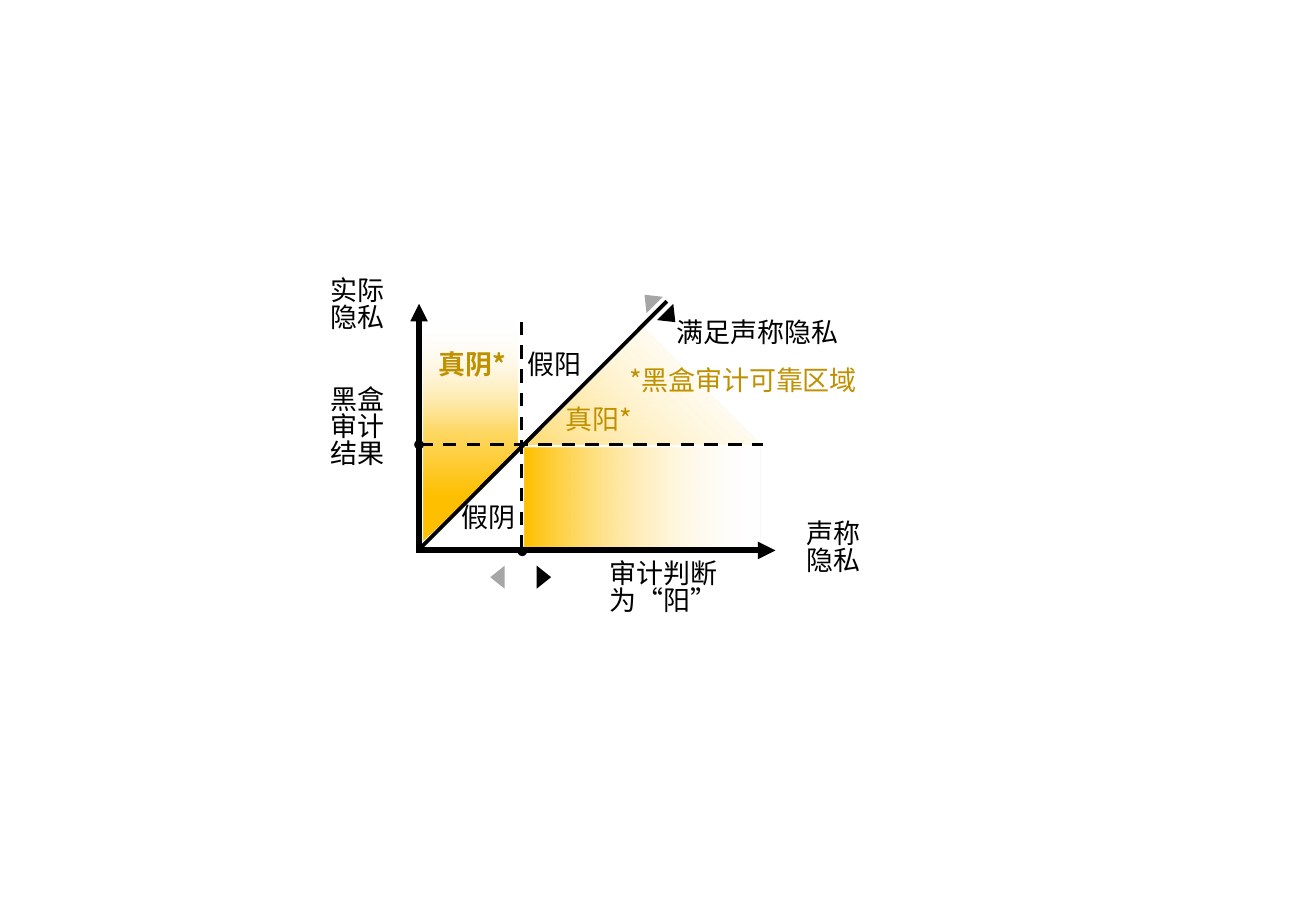
from lxml.etree import SubElement
from pptx import Presentation
from pptx.dml.color import RGBColor
from pptx.enum.dml import MSO_LINE
from pptx.enum.shapes import MSO_CONNECTOR, MSO_SHAPE
from pptx.enum.text import MSO_ANCHOR, PP_ALIGN
from pptx.oxml import parse_xml
from pptx.oxml.ns import nsdecls, qn
from pptx.util import Cm, Pt

BLACK = RGBColor(0x00, 0x00, 0x00)
WHITE = RGBColor(0xFF, 0xFF, 0xFF)
GREY = RGBColor(0xA6, 0xA6, 0xA6)
GOLD = RGBColor(0xFF, 0xC0, 0x00)
LIGHT_GOLD = RGBColor(0xFF, 0xD9, 0x66)
DARK_GOLD = RGBColor(0xBF, 0x90, 0x00)
FONT = "Noto Sans CJK SC"

# Gradient stops: position in percent, colour, opacity in percent
FADE = [(0, WHITE, 80), (0, WHITE, 0), (100, GOLD, 100)]
LONG_FADE = [(0, WHITE, 100), (0, WHITE, 0), (50, LIGHT_GOLD, 100), (80, GOLD, 100)]


def add_text(slide, text, left, top, width, height=0.94, color=BLACK,
             bold=False, align=PP_ALIGN.CENTER):
    frame = slide.shapes.add_textbox(Cm(left), Cm(top), Cm(width), Cm(height)).text_frame
    frame.word_wrap = True
    frame.vertical_anchor = MSO_ANCHOR.TOP
    frame.margin_top = Cm(0.17)
    frame.text = text
    for paragraph in frame.paragraphs:
        paragraph.alignment = align
        paragraph.line_spacing = 0.83
        for run in paragraph.runs:
            run.font.name = FONT
            run.font.size = Pt(16)
            run.font.bold = bold
            run.font.color.rgb = color
            SubElement(run.font._element, qn("a:ea")).set("typeface", FONT)


def fill_gradient(region, stops, angle):
    region.shadow.inherit = False
    region.line.fill.background()
    stop_xml = "".join(
        f'<a:gs pos="{pos * 1000}"><a:srgbClr val="{color}">'
        f'<a:alpha val="{opacity * 1000}"/></a:srgbClr></a:gs>'
        for pos, color, opacity in stops)
    region._element.spPr.insert(2, parse_xml(
        f'<a:gradFill {nsdecls("a")} rotWithShape="1"><a:gsLst>{stop_xml}</a:gsLst>'
        f'<a:lin ang="{angle * 60000}" scaled="0"/></a:gradFill>'))


def add_region(slide, kind, left, top, width, height, angle, rotation=0):
    region = slide.shapes.add_shape(kind, Cm(left), Cm(top), Cm(width), Cm(height))
    region.rotation = rotation
    fill_gradient(region, FADE, angle)


def add_outlined_region(slide, corners, angle):
    points = [(Cm(x), Cm(y)) for x, y in corners]
    builder = slide.shapes.build_freeform(*points[0])
    builder.add_line_segments(points[1:], close=True)
    fill_gradient(builder.convert_to_shape(), LONG_FADE, angle)


def add_line(slide, start, end, weight, dashed=False, arrow=False):
    line = slide.shapes.add_connector(
        MSO_CONNECTOR.STRAIGHT, *(Cm(value) for value in start + end))
    line.line.color.rgb = BLACK
    line.line.width = Pt(weight)
    if dashed:
        line.line.dash_style = MSO_LINE.DASH
    if arrow:
        SubElement(line.line._get_or_add_ln(), qn("a:tailEnd")).set("type", "triangle")
    SubElement(line._element.spPr, qn("a:effectLst"))


def add_marker(slide, kind, center, width, height, color=BLACK, rotation=0):
    x, y = center
    marker = slide.shapes.add_shape(
        kind, Cm(x - width / 2), Cm(y - height / 2), Cm(width), Cm(height))
    marker.rotation = rotation
    marker.shadow.inherit = False
    marker.fill.solid()
    marker.fill.fore_color.rgb = color
    marker.line.fill.background()


def main():
    presentation = Presentation()
    presentation.slide_width, presentation.slide_height = Cm(27.51), Cm(19.05)
    slide = presentation.slides.add_slide(presentation.slide_layouts[6])

    # Shaded regions
    add_region(slide, MSO_SHAPE.RECTANGLE, 10.97, 9.37, 4.93, 2.06, 180)
    add_region(slide, MSO_SHAPE.RIGHT_TRIANGLE, 11.73, 7.57, 3.45, 3.45, 0, rotation=135)
    add_outlined_region(
        slide, [(8.86, 6.71), (8.86, 11.3), (10.82, 9.45), (10.82, 6.71)], 90)

    # Diagonal, thresholds and axes
    add_line(slide, (8.74, 11.51), (13.94, 6.3), 2.25)
    add_line(slide, (8.76, 9.3), (15.95, 9.3), 2, dashed=True)
    add_line(slide, (10.9, 11.48), (10.9, 6.68), 2, dashed=True)
    add_line(slide, (8.71, 11.51), (16.21, 11.51), 3.5, arrow=True)
    add_line(slide, (8.76, 11.56), (8.76, 6.35), 3.5, arrow=True)

    # Threshold dots and direction triangles
    for center in [(10.92, 11.53), (8.76, 9.3)]:
        add_marker(slide, MSO_SHAPE.OVAL, center, 0.2, 0.2)
    for center, color, rotation in [
        ((13.58, 6.27), GREY, 315),
        ((14.01, 6.63), BLACK, 135),
        ((10.4, 12.07), GREY, 270),
        ((11.37, 12.07), BLACK, 90),
    ]:
        add_marker(slide, MSO_SHAPE.ISOSCELES_TRIANGLE, center, 0.48, 0.3, color, rotation)

    # Axis labels
    add_text(slide, "实际隐私", 6.48, 5.66, 1.98, 1.63)
    add_text(slide, "黑盒审计\n结果", 6.45, 7.95, 2.03, 2.31)
    add_text(slide, "声称隐私", 16.56, 10.74, 1.73, 1.63)
    add_text(slide, "审计判断为“阳”", 11.61, 11.58, 4.52)

    # Region labels
    add_text(slide, "满足声称隐私", 12.73, 6.55, 6.22)
    add_text(slide, "*黑盒审计可靠区域", 12.9, 7.54, 7.72, color=DARK_GOLD, align=PP_ALIGN.LEFT)
    add_text(slide, "真阳*", 11.58, 8.36, 2.46, color=DARK_GOLD, align=PP_ALIGN.LEFT)
    add_text(slide, "真阴*", 8.71, 7.21, 2.31, color=DARK_GOLD, bold=True)
    add_text(slide, "假阳", 10.77, 7.21, 2.97, align=PP_ALIGN.LEFT)
    add_text(slide, "假阴", 9.3, 10.41, 1.73, align=PP_ALIGN.RIGHT)

    presentation.save("out.pptx")


if __name__ == "__main__":
    main()
